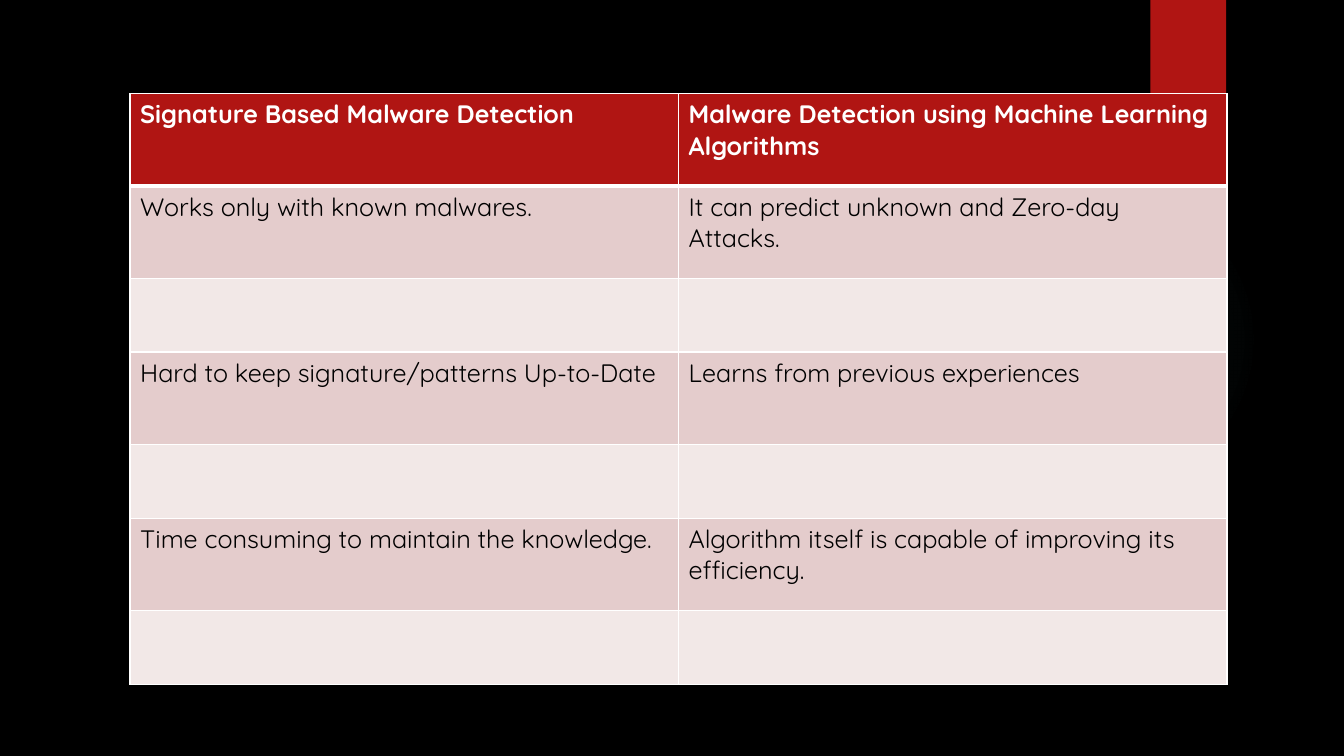
from lxml import etree
from pptx import Presentation, util as u
from pptx.dml.color import RGBColor
from pptx.enum import shapes
from pptx.oxml import parse_xml
from pptx.oxml.ns import nsdecls, qn

W, H = u.Inches(13.33), u.Inches(7.5)
RED, WHITE, BLACK = "B01513", "FFFFFF", "000000"
TEXT_ROW, EMPTY_ROW = 12.2, 9.77
COMPARISON = [
    ("Signature Based Malware Detection",
     "Malware Detection using Machine Learning Algorithms"),
    ("Works only with known malwares.",
     "It can predict unknown and Zero-day Attacks."),
    ("", ""),
    ("Hard to keep signature/patterns Up-to-Date",
     "Learns from previous experiences"),
    ("", ""),
    ("Time consuming to maintain the knowledge.",
     "Algorithm itself is capable of improving its efficiency."),
    ("", ""),
]


def rgb(value):
    """Turn a hex string into a colour."""
    return RGBColor.from_string(value)


def across(percent):
    """Return a share of the slide's width."""
    return int(W * percent / 100)


def down(percent):
    """Return a share of the slide's height."""
    return int(H * percent / 100)


def paint(target, color):
    """Fill a shape, cell or background with one colour."""
    target.fill.solid()
    target.fill.fore_color.rgb = rgb(color)


def add_block(s, kind, x, y, w, h, color):
    """Add a plain shape without outline or shadow."""
    sp = s.shapes.add_shape(kind, across(x), down(y), across(w), down(h))
    paint(sp, color)
    sp.line.fill.background()
    sp.shadow.inherit = False
    return sp


def add_glow(sp, color, stops):
    """Replace a solid fill by a radial gradient of (position, opacity) stops."""
    marks = "".join(
        f'<a:gs pos="{pos * 1000}"><a:srgbClr val="{color}">'
        f'<a:alpha val="{alpha * 1000}"/></a:srgbClr></a:gs>'
        for pos, alpha in stops)
    grad = parse_xml(
        f'<a:gradFill {nsdecls("a")}><a:gsLst>{marks}</a:gsLst><a:path path="circle">'
        '<a:fillToRect l="50000" t="50000" r="50000" b="50000"/></a:path></a:gradFill>')
    spPr = sp._element.spPr
    spPr.replace(spPr.find(qn("a:solidFill")), grad)


def set_borders(cell, widths):
    """Draw white cell borders from a dict of side and width in points."""
    tcPr = cell._tc.get_or_add_tcPr()
    for side, width in widths.items():
        ln = etree.SubElement(tcPr, qn(f"a:ln{side}"), w=str(u.Pt(width)))
        fill = etree.SubElement(ln, qn("a:solidFill"))
        etree.SubElement(fill, qn("a:srgbClr"), val=WHITE)


def write(cell, words, color, **formats):
    """Put formatted words into a cell."""
    r = cell.text_frame.paragraphs[0].add_run()
    r.text = words
    r.font.color.rgb = rgb(color)
    for name, value in formats.items():
        setattr(r.font, name, value)


def add_comparison(s, x, y, w, rows):
    """Add the banded table with its heading row."""
    heights = [down(TEXT_ROW if any(row) else EMPTY_ROW) for row in rows]
    table = s.shapes.add_table(len(rows), len(rows[0]), across(x), down(y),
                               across(w), sum(heights)).table
    for i, row in enumerate(rows):
        table.rows[i].height = heights[i]
        head = i == 0
        band = RED if head else "E4CCCC" if i % 2 else "F2E8E7"
        for j, words in enumerate(row):
            cell = table.cell(i, j)
            set_borders(cell, {"L": 1, "R": 1, "T": 3 if i == 1 else 1,
                               "B": 3 if head else 1})
            paint(cell, band)
            if words:
                write(cell, words, WHITE if head else BLACK,
                      name="Quicksand", size=u.Pt(18), bold=head)


def main():
    """Build the slide and save it."""
    prs = Presentation()
    prs.slide_width, prs.slide_height = W, H
    s = prs.slides.add_slide(prs.slide_layouts[6])
    paint(s.background, BLACK)
    kinds = shapes.MSO_SHAPE
    glow = add_block(s, kinds.OVAL, 70.59, 24.4, 23.11, 41.07, BLACK)
    add_glow(glow, "50B9C1", [(0, 7), (36, 6), (69, 0)])
    add_block(s, kinds.RECTANGLE, 85.6, 0, 5.63, 16.67, RED)
    add_comparison(s, 9.68, 12.4, 81.62, COMPARISON)
    prs.save("out.pptx")


main()
